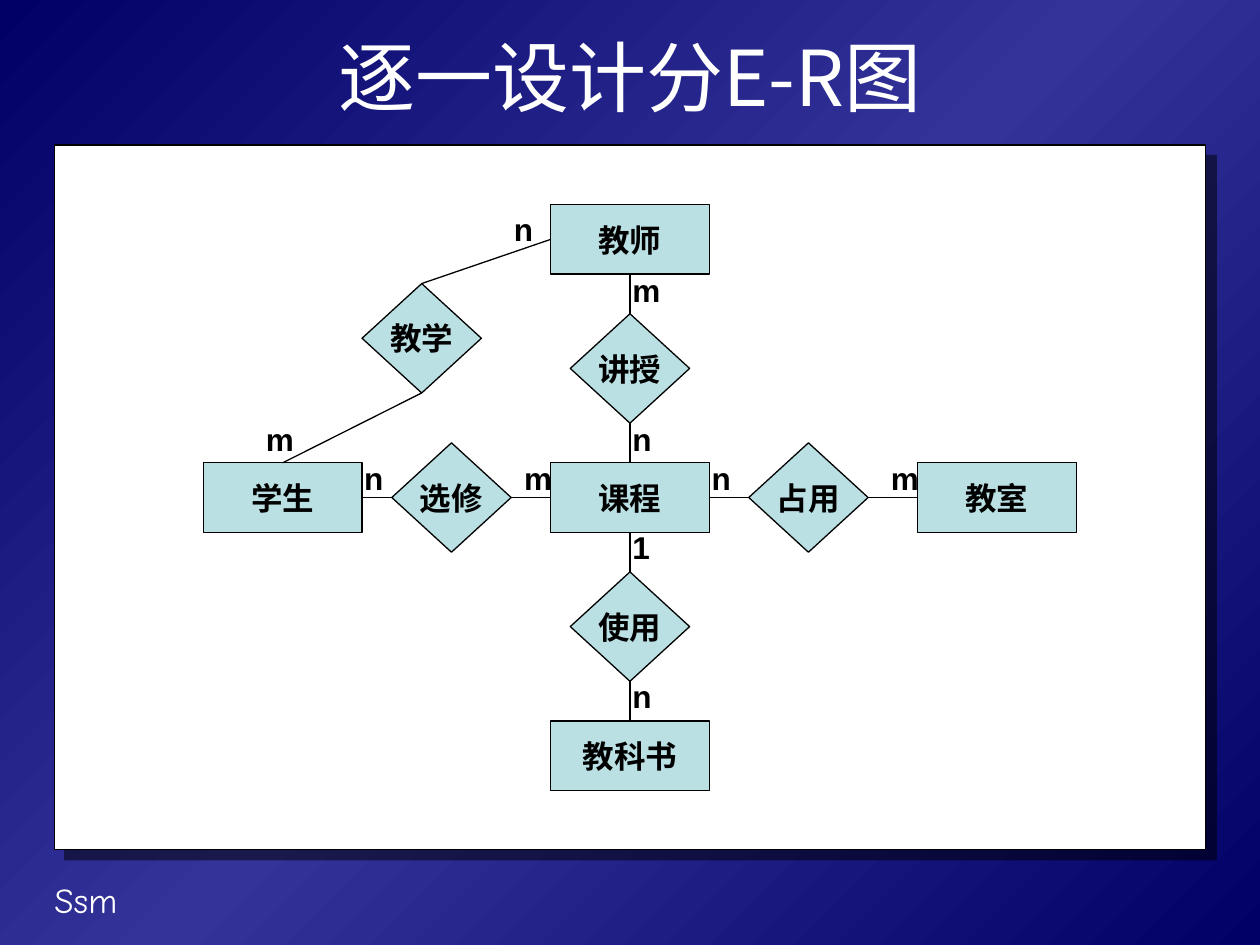
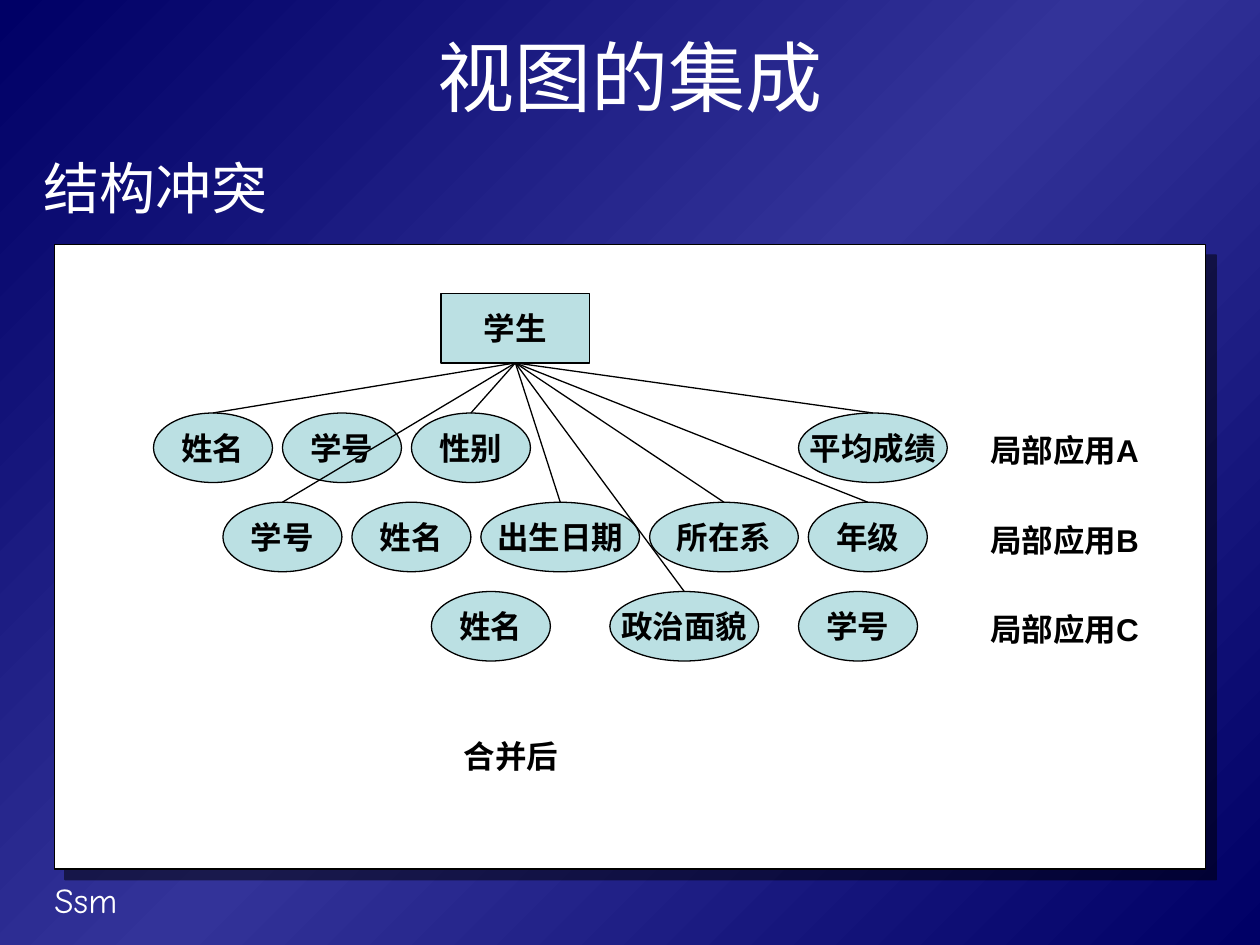
from collections import namedtuple
from copy import deepcopy

from lxml import etree
from pptx import Presentation
from pptx.dml.color import RGBColor
from pptx.enum.shapes import MSO_CONNECTOR, MSO_SHAPE
from pptx.enum.text import MSO_ANCHOR, MSO_AUTO_SIZE, PP_ALIGN
from pptx.oxml.ns import qn
from pptx.util import Pt

RECTANGLE, DIAMOND, OVAL = MSO_SHAPE.RECTANGLE, MSO_SHAPE.DIAMOND, MSO_SHAPE.OVAL
STRAIGHT = MSO_CONNECTOR.STRAIGHT
MIDDLE, TOP_ANCHOR = MSO_ANCHOR.MIDDLE, MSO_ANCHOR.TOP
CENTER, LEFT_ALIGN = PP_ALIGN.CENTER, PP_ALIGN.LEFT
NO_AUTOFIT = MSO_AUTO_SIZE.NONE
TOP, LEFT, BOTTOM, RIGHT = range(4)

NAVY = RGBColor(0x00, 0x00, 0x66)
INDIGO = RGBColor(0x33, 0x33, 0x99)
PALE_TEAL = RGBColor(0xBB, 0xE0, 0xE3)
WHITE = RGBColor(0xFF, 0xFF, 0xFF)
BLACK = RGBColor(0x00, 0x00, 0x00)

HEADING_FONT = "Noto Sans CJK SC"
DIAGRAM_FONT = "Arial"
FOOTER_FONT = "Comic Neue"

Box = namedtuple("Box", "left top width height")

TITLE_BOX = Box(36, 12.2, 648, 62.6)
FOOTER_BOX = Box(24, 498.2, 150, 31.7)
BULLET_BOX = Box(18, 84.2, 690, 414)
ER_PANEL = Box(31, 82.8, 658, 402.5)
MERGE_PANEL = Box(31, 139.7, 658, 357)

ENTITY_SIZE = (90.7, 39.7)
RELATION_SIZE = (68.2, 62.5)
LABEL_SIZE = (28.2, 28.8)
NODE_HEIGHT = 39.7

MIDDLE_X, MIDDLE_Y = 329, 201.5
ROW_PITCH = 147.5
RELATION_REACH = 102

ENTITIES = {
    "学生": (130.6, MIDDLE_Y),
    "课程": (MIDDLE_X, MIDDLE_Y),
    "教室": (538.7, MIDDLE_Y),
    "教科书": (MIDDLE_X, MIDDLE_Y + ROW_PITCH),
    "教师": (MIDDLE_X, MIDDLE_Y - ROW_PITCH),
}
RELATIONS = {
    "讲授": (MIDDLE_X, MIDDLE_Y - ROW_PITCH / 2),
    "使用": (MIDDLE_X, MIDDLE_Y + ROW_PITCH / 2),
    "选修": (MIDDLE_X - RELATION_REACH, MIDDLE_Y),
    "占用": (MIDDLE_X + RELATION_REACH, MIDDLE_Y),
    "教学": (210, 110.5),
}
LINKS = [
    ("教师", BOTTOM, "讲授", TOP),
    ("讲授", BOTTOM, "课程", TOP),
    ("课程", RIGHT, "占用", LEFT),
    ("教室", LEFT, "占用", RIGHT),
    ("使用", TOP, "课程", BOTTOM),
    ("教科书", TOP, "使用", BOTTOM),
    ("选修", RIGHT, "课程", LEFT),
    ("选修", LEFT, "学生", RIGHT),
    ("教师", LEFT, "教学", TOP),
    ("学生", TOP, "教学", BOTTOM),
]
LABEL_ROW_Y, LABEL_COLUMN_X = 175.7, 323.3
CARDINALITIES = [
    ("n", 170, LABEL_ROW_Y),
    ("m", 261.4, LABEL_ROW_Y),
    ("n", 368.6, LABEL_ROW_Y),
    ("m", 471, LABEL_ROW_Y),
    ("m", LABEL_COLUMN_X, 68.4),
    ("n", LABEL_COLUMN_X, 153.4),
    ("1", LABEL_COLUMN_X, 215.4),
    ("n", LABEL_COLUMN_X, 300.4),
    ("n", 255.6, 33.8),
    ("m", 113.8, 153.4),
]

Attribute = namedtuple("Attribute", "text width gap linked")
NARROW, MEDIUM, WIDE = 68, 85, 90.7
GAP = 5.7
APPLICATIONS = {
    "局部应用A": [
        Attribute("姓名", NARROW, 56.7, True),
        Attribute("学号", NARROW, GAP, False),
        Attribute("性别", NARROW, GAP, True),
        Attribute("平均成绩", MEDIUM, 153.2, True),
    ],
    "局部应用B": [
        Attribute("学号", NARROW, 96.4, True),
        Attribute("姓名", NARROW, GAP, False),
        Attribute("出生日期", WIDE, GAP, True),
        Attribute("所在系", MEDIUM, GAP, True),
        Attribute("年级", NARROW, GAP, True),
    ],
    "局部应用C": [
        Attribute("姓名", NARROW, 215.5, False),
        Attribute("政治面貌", MEDIUM, 34, True),
        Attribute("学号", NARROW, 22.8, False),
    ],
}


def in_points(*lengths):
    """Turn plain numbers into lengths in points."""
    return [Pt(length) for length in lengths]


def write(shape, text, font_name, size, color, bold=False, align=LEFT_ALIGN,
          anchor=TOP_ANCHOR, wrap=True):
    """Write one formatted paragraph into a shape and return it."""
    frame = shape.text_frame
    frame.text = text
    frame.auto_size = NO_AUTOFIT
    frame.word_wrap = wrap
    frame.vertical_anchor = anchor
    paragraph = frame.paragraphs[0]
    paragraph.alignment = align
    font = paragraph.font
    font.name, font.size, font.bold = font_name, Pt(size), bold
    font.color.rgb = color
    return paragraph


def add_text(slide, box, text, font_name=DIAGRAM_FONT, size=18, color=BLACK, bold=True):
    """Add a wrapping text box."""
    shape = slide.shapes.add_textbox(*in_points(*box))
    write(shape, text, font_name, size, color, bold)


def add_outlined(slide, kind, box, fill):
    """Add a flat shape with a thin black outline."""
    shape = slide.shapes.add_shape(kind, *in_points(*box))
    shape.shadow.inherit = False
    shape.fill.solid()
    shape.fill.fore_color.rgb = fill
    shape.line.color.rgb = BLACK
    shape.line.width = Pt(0.75)
    return shape


def add_node(slide, kind, box, text):
    """Add a diagram node with a centred bold caption."""
    shape = add_outlined(slide, kind, box, PALE_TEAL)
    write(shape, text, DIAGRAM_FONT, 18, BLACK, True, CENTER, MIDDLE, wrap=False)
    return shape


def add_centered_node(slide, kind, panel, center, size, text):
    """Add a node around a centre given relative to the panel."""
    x, y = center
    width, height = size
    box = Box(panel.left + x - width / 2, panel.top + y - height / 2, width, height)
    return add_node(slide, kind, box, text)


def add_link(slide, start, start_side, end, end_side):
    """Join two nodes with a thin black line."""
    line = slide.shapes.add_connector(STRAIGHT, 0, 0, 0, 0)
    line.begin_connect(start, start_side)
    line.end_connect(end, end_side)
    line.line.color.rgb = BLACK
    line.line.width = Pt(0.75)
    etree.SubElement(line._element.spPr, qn("a:effectLst"))


def add_panel(slide, box):
    """Add the white panel with its hard shadow."""
    panel = add_outlined(slide, RECTANGLE, box, WHITE)
    effects = panel._element.spPr.find(qn("a:effectLst"))
    shadow = etree.SubElement(effects, qn("a:outerShdw"), blurRad="0", dist=str(Pt(8.5)),
                              dir="2700000", algn="ctr", rotWithShape="0")
    color = etree.SubElement(shadow, qn("a:srgbClr"), val=str(BLACK))
    etree.SubElement(color, qn("a:alpha"), val="50000")


def add_bullet(slide, box, text):
    """Add a bulleted heading line."""
    shape = slide.shapes.add_textbox(*in_points(*box))
    properties = shape.text_frame.paragraphs[0]._p.get_or_add_pPr()
    properties.set("marL", str(Pt(27)))
    properties.set("indent", str(Pt(-27)))
    bullet_color = etree.SubElement(properties, qn("a:buClr"))
    etree.SubElement(bullet_color, qn("a:srgbClr"), val=str(WHITE))
    etree.SubElement(properties, qn("a:buFont"), typeface=DIAGRAM_FONT)
    etree.SubElement(properties, qn("a:buChar"), char="•")
    write(shape, text, HEADING_FONT, 32, WHITE)


def set_background(master):
    """Give the master a diagonal gradient that is lightest midway."""
    fill = master.background.fill
    fill.gradient()
    fill.gradient_angle = 315
    stop_list = master._element.find(".//" + qn("p:bg")).find(".//" + qn("a:gsLst"))
    stop_list.insert(1, deepcopy(stop_list[0]))
    for stop, position, color in zip(fill.gradient_stops, (0, 0.5, 1), (NAVY, INDIGO, NAVY)):
        stop.position = position
        stop.color.rgb = color


def add_titled_slide(presentation, title):
    """Add a slide with its title and footer."""
    slide = presentation.slides.add_slide(presentation.slide_layouts.get_by_name("Title Only"))
    add_text(slide, FOOTER_BOX, "Ssm", FOOTER_FONT, 20, WHITE, False)
    shape = slide.shapes.title
    shape.left, shape.top, shape.width, shape.height = in_points(*TITLE_BOX)
    write(shape, title, HEADING_FONT, 44, WHITE, align=CENTER, anchor=MIDDLE)
    return slide


def draw_er_diagram(slide, panel):
    """Draw the entities, relations, links and cardinalities in the panel."""
    add_panel(slide, panel)
    nodes = {}
    for kind, size, centers in ((RECTANGLE, ENTITY_SIZE, ENTITIES),
                                (DIAMOND, RELATION_SIZE, RELATIONS)):
        for text, center in centers.items():
            nodes[text] = add_centered_node(slide, kind, panel, center, size, text)
    for start, start_side, end, end_side in LINKS:
        add_link(slide, nodes[start], start_side, nodes[end], end_side)
    for text, x, y in CARDINALITIES:
        add_text(slide, Box(panel.left + x, panel.top + y, *LABEL_SIZE), text)


def draw_merged_entity(slide, panel):
    """Draw the merged entity with one row of attributes per application."""
    add_panel(slide, panel)
    entity_box = Box(panel.left + 221, panel.top + 28, MEDIUM, NODE_HEIGHT)
    entity = add_node(slide, RECTANGLE, entity_box, "学生")
    linked_nodes = []
    for row, (application, attributes) in enumerate(APPLICATIONS.items()):
        top = panel.top + 96.3 + 51 * row
        left = panel.left
        for attribute in attributes:
            left += attribute.gap
            box = Box(left, top, attribute.width, NODE_HEIGHT)
            node = add_node(slide, OVAL, box, attribute.text)
            left += attribute.width
            if attribute.linked:
                linked_nodes.append(node)
        add_text(slide, Box(panel.left + 527.8, top + 7, 102, 50.4), application)
    for node in linked_nodes:
        add_link(slide, entity, BOTTOM, node, TOP)
    add_text(slide, Box(panel.left + 226.8, panel.top + 278, 102, 28.8), "合并后")


def main():
    """Build and save the presentation."""
    presentation = Presentation()
    presentation.slide_width, presentation.slide_height = in_points(720, 540)
    set_background(presentation.slide_master)

    draw_er_diagram(add_titled_slide(presentation, "逐一设计分E-R图"), ER_PANEL)

    slide = add_titled_slide(presentation, "视图的集成")
    add_bullet(slide, BULLET_BOX, "结构冲突")
    draw_merged_entity(slide, MERGE_PANEL)

    presentation.save("out.pptx")


if __name__ == "__main__":
    main()
